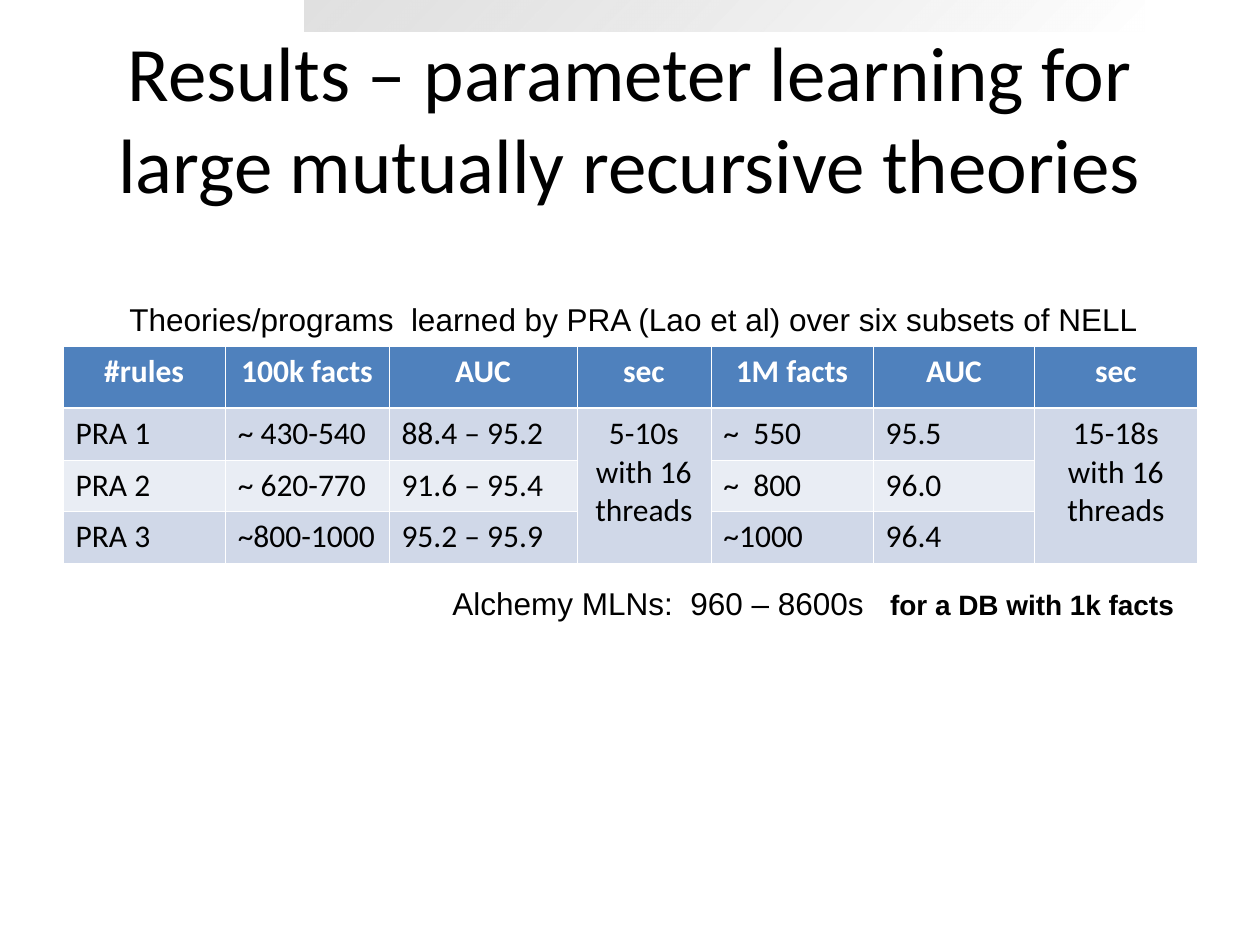
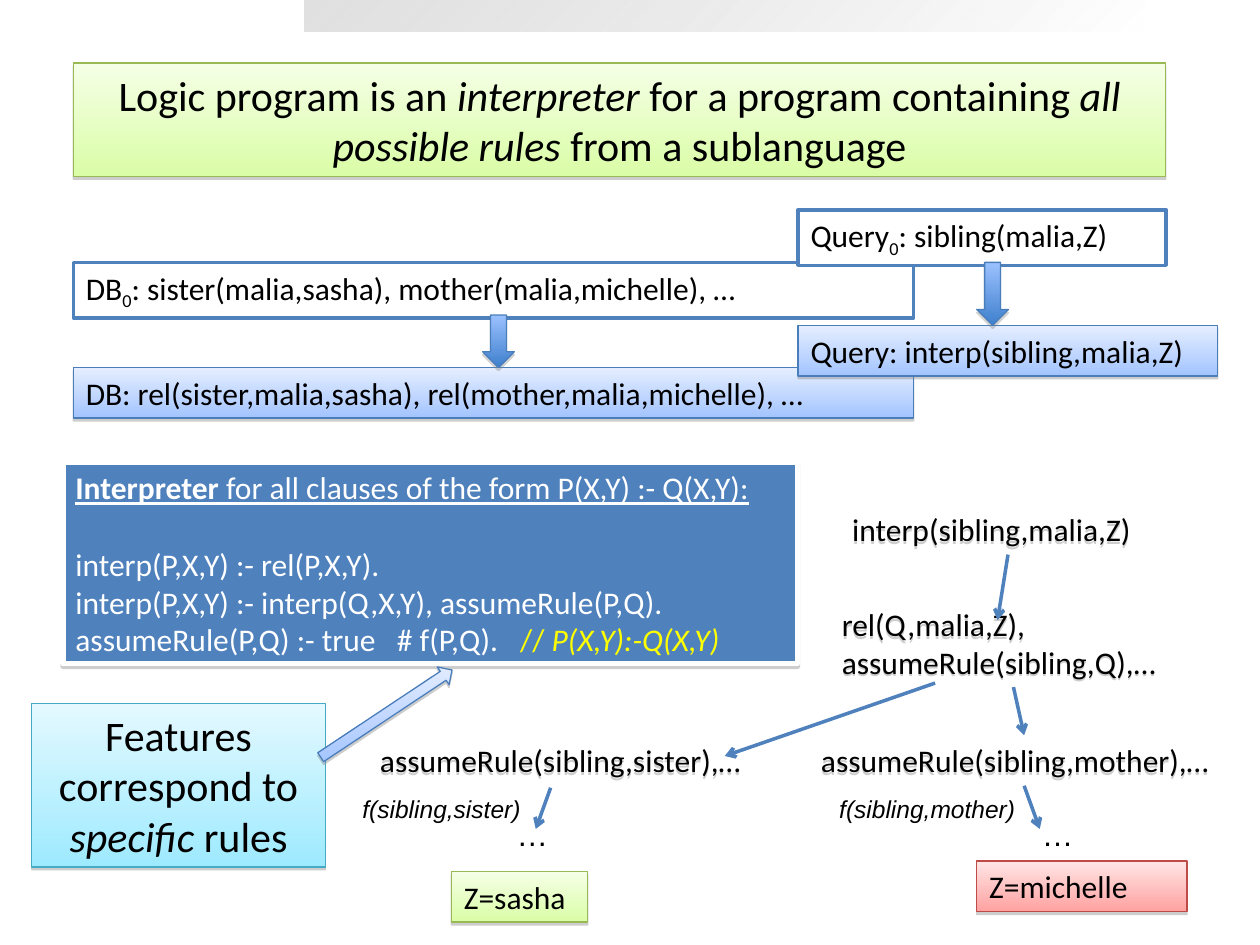
"""Build two slides: parameter learning results and a logic program interpreter."""
from dataclasses import dataclass

from lxml.etree import SubElement
from pptx import Presentation
from pptx.dml.color import RGBColor as Rgb
from pptx.enum.shapes import MSO_CONNECTOR as Connector, MSO_SHAPE as Shape
from pptx.enum.text import MSO_ANCHOR as Anchor, PP_ALIGN as Align
from pptx.oxml.ns import qn
from pptx.util import Cm, Pt


@dataclass(frozen=True)
class Look:
    fills: tuple = ()
    edge: str = ""
    width: float = 0.75
    shadow: tuple = ()
    angle: int = 90


@dataclass(frozen=True)
class Theme:
    body: str = "Calibri"
    plain: str = "Arial"
    title_size: int = 44
    lead_size: int = 24
    text_size: int = 18
    aside_size: int = 16
    note_size: int = 14
    black: str = "000000"
    white: str = "FFFFFF"
    yellow: str = "FFFF00"
    blue: str = "4F81BD"
    stripes: tuple = ("E9EDF4", "D0D8E8")
    soft: tuple = (38, 1.6)
    deep: tuple = (35, 1.8)


theme = Theme()
band = Look(("FFFFFF", "C0C0C0"), angle=225)
green = Look(("F5FFE6", "DAFDA7"), "98B954", shadow=theme.soft)
sky = Look(("E5EEFF", "A3C4FF"), "4A7EBB", shadow=theme.soft)
slanted = Look(sky.fills, sky.edge, shadow=theme.soft, angle=124)
strong = Look(("9BC1FF", "3F80CD"), "4A7EBB", shadow=theme.deep)
aqua = Look(("E4F9FF", "9EEAFF"), "46AAC5", shadow=theme.soft)
red = Look(("FFE5E5", "FFA2A1"), "BE4B48", shadow=theme.soft)
solid = Look((theme.blue,), theme.white, 3, theme.soft)
outline = Look((theme.white,), theme.blue, 2)
bare = Look()
shaded = Look(shadow=theme.soft)
italic = {"italic": True}
subscript = {"baseline": "-25000"}


def dress(shape, look):
    if len(look.fills) == 2:
        shape.fill.gradient()
        shape.fill.gradient_angle = 360 - look.angle
        for stop, color in zip(shape.fill.gradient_stops, look.fills):
            stop.color.rgb = Rgb.from_string(color)
    elif look.fills:
        shape.fill.solid()
        shape.fill.fore_color.rgb = Rgb.from_string(look.fills[0])
    if look.edge:
        shape.line.color.rgb = Rgb.from_string(look.edge)
        shape.line.width = Pt(look.width)
    else:
        shape.line.fill.background()
    shape.shadow.inherit = False
    if look.shadow:
        alpha, distance = look.shadow
        effects = shape.element.spPr.find(qn("a:effectLst"))
        outer = SubElement(effects, qn("a:outerShdw"), blurRad="0", dist=str(Pt(distance)),
                           dir="5400000", rotWithShape="0")
        tint = SubElement(outer, qn("a:srgbClr"), val="808080")
        SubElement(tint, qn("a:alpha"), val=str(alpha * 1000))


def write(frame, lines, size=theme.text_size, font=theme.body, align=Align.LEFT,
          color=theme.black, bold=False, wrap=True):
    frame.word_wrap = wrap
    for number, line in enumerate(lines):
        para = frame.add_paragraph() if number else frame.paragraphs[0]
        para.alignment = align
        para.font.name = font
        para.font.size = Pt(size)
        para.font.bold = bold
        para.font.color.rgb = Rgb.from_string(color)
        for text, marks in line:
            span = para.add_run()
            span.text = text
            for mark, value in marks.items():
                if mark == "baseline":
                    span.font._element.set(mark, value)
                elif mark == "color":
                    span.font.color.rgb = Rgb.from_string(value)
                else:
                    setattr(span.font, mark, value)


deck = Presentation()
deck.slide_width, deck.slide_height = Cm(25.4), Cm(19.05)
pages = [deck.slides.add_slide(deck.slide_layouts[6]) for _ in range(2)]
for page in pages:
    strip = page.shapes.add_shape(Shape.RECTANGLE, Cm(6.14), 0, Cm(16.94), Cm(0.64))
    dress(strip, band)
    for tint, alpha in zip(strip.element.spPr.iter(qn("a:srgbClr")), ("68000", "48000")):
        SubElement(tint, qn("a:alpha"), val=alpha)
results, logic = pages

title = results.shapes.add_textbox(Cm(1.27), Cm(0.76), Cm(22.86), Cm(3.18))
title.text_frame.vertical_anchor = Anchor.MIDDLE
write(title.text_frame,
      [[("Results – parameter learning for large mutually recursive theories", {})]],
      theme.title_size, align=Align.CENTER)

rows = [
    ["#rules", "100k facts", "AUC", "sec", "1M facts", "AUC", "sec"],
    ["PRA 1", "~ 430-540", "88.4 – 95.2", "5-10s with 16 threads", "~  550", "95.5",
     "15-18s with 16 threads"],
    ["PRA 2", "~ 620-770", "91.6 – 95.4", "", "~  800", "96.0", ""],
    ["PRA 3", "~800-1000", "95.2 – 95.9", "", "~1000", "96.4", ""],
]
widths = [3.27, 3.3, 3.79, 2.7, 3.27, 3.26, 3.27]
heights = [1.25, 1.04, 1.04, 1.04]
seconds_columns = (3, 6)
table = results.shapes.add_table(len(rows), len(widths), Cm(1.27), Cm(6.98),
                                 Cm(sum(widths)), Cm(sum(heights))).table
for column, width in zip(table.columns, widths):
    column.width = Cm(width)
for row, height in zip(table.rows, heights):
    row.height = Cm(height)
for column in seconds_columns:
    table.cell(1, column).merge(table.cell(3, column))
for r, values in enumerate(rows):
    for c, value in enumerate(values):
        cell = table.cell(r, c)
        header = r == 0
        rules = {"lnL": 0.45, "lnR": 0.45, "lnT": 1.47 if r == 1 else 0.45,
                 "lnB": 1.47 if header else 0.45}
        for side, width in rules.items():
            edge = SubElement(cell._tc.get_or_add_tcPr(), qn(f"a:{side}"), w=str(Pt(width)))
            SubElement(SubElement(edge, qn("a:solidFill")), qn("a:srgbClr"), val=theme.white)
        cell.fill.solid()
        cell.fill.fore_color.rgb = Rgb.from_string(theme.blue if header else theme.stripes[r % 2])
        if value:
            centred = header or c in seconds_columns
            write(cell.text_frame, [[(value, {})]], bold=header,
                  align=Align.CENTER if centred else Align.LEFT,
                  color=theme.white if header else theme.black)

captions = [
    ((2.31, 5.92, 20.88, 1.02),
     [("Theories/programs  learned by PRA (Lao et al) over six subsets of NELL", {})]),
    ((8.86, 11.64, 15.06, 1.02),
     [("Alchemy MLNs:  960 – 8600s   ", {}),
      ("for a DB with 1k facts", {"bold": True, "size": Pt(theme.aside_size)})]),
]
for spot, line in captions:
    box = results.shapes.add_textbox(*map(Cm, spot))
    write(box.text_frame, [line], font=theme.plain, align=Align.RIGHT, wrap=False)

centred_lead = {"size": theme.lead_size, "align": Align.CENTER}
panels = [
    ((1.48, 1.27, 22.02, 2.29), green,
     [[("Logic program is an ", {}), ("interpreter", italic),
       (" for a program containing ", {}), ("all possible rules ", italic),
       ("from a sublanguage", {})]], centred_lead),
    ((1.27, 9.32, 14.81, 4.06), solid,
     [[("Interpreter", {"bold": True, "underline": True}),
       (" for all clauses of the form P(X,Y) :- Q(X,Y):", {"underline": True})],
      [("interp(P,X,Y) :- rel(P,X,Y).", {})],
      [("interp(P,X,Y) :- interp(Q,X,Y), assumeRule(P,Q).", {})],
      [("assumeRule(P,Q) :- true   # f(P,Q).   ", {}), ("// ", {"color": theme.yellow}),
       ("P(X,Y):-Q(X,Y)", {"color": theme.yellow, "italic": True})]],
     {"color": theme.white}),
    ((1.48, 5.29, 16.94, 1.12), outline,
     [[("DB", {}), ("0", subscript),
       (": sister(malia,sasha), mother(malia,michelle), …", {})]], {}),
    ((1.48, 7.41, 16.94, 1.02), sky,
     [[("DB: rel(sister,malia,sasha), rel(mother,malia,michelle), …", {})]], {}),
    ((16.09, 4.23, 7.42, 1.12), outline,
     [[("Query", {}), ("0", subscript), (": sibling(malia,Z)", {})]], {}),
    ((16.09, 6.56, 8.46, 1.02), sky, [[("Query: interp(sibling,malia,Z)", {})]], {}),
    ((0.64, 14.18, 5.92, 3.3), aqua,
     [[("Features correspond to ", {}), ("specific ", italic), ("rules", {})]], centred_lead),
    ((9.1, 17.57, 2.75, 1.02), green, [[("Z=sasha", {})]], {}),
    ((19.69, 17.36, 4.24, 1.02), red, [[("Z=michelle", {})]], {}),
]
for spot, look, lines, style in panels:
    panel = logic.shapes.add_shape(Shape.RECTANGLE, *map(Cm, spot))
    dress(panel, look)
    panel.text_frame.vertical_anchor = Anchor.TOP
    write(panel.text_frame, lines, **style)
    if look is solid:
        panel.text_frame.paragraphs[1].space_before = Pt(22)

block_arrows = [
    (Shape.DOWN_ARROW, (9.73, 6.35, 0.64, 1.06), strong, 0),
    (Shape.DOWN_ARROW, (19.69, 5.29, 0.64, 1.27), strong, 0),
    (Shape.RIGHT_ARROW, (6.2, 14.17, 3.18, 0.43), slanted, 326.4),
]
for kind, spot, look, turn in block_arrows:
    arrow = logic.shapes.add_shape(kind, *map(Cm, spot))
    arrow.rotation = turn
    dress(arrow, look)

goals = {
    "query": ((16.93, 10.16, 6.78, 1.02), "interp(sibling,malia,Z)"),
    "rule": ((16.72, 12.07, 7.42, 1.78), "rel(Q,malia,Z), assumeRule(sibling,Q),…"),
    "mother": ((16.3, 14.82, 8.69, 1.02), "assumeRule(sibling,mother),…"),
    "sister": ((7.41, 14.82, 7.83, 1.02), "assumeRule(sibling,sister),…"),
}
goal_boxes = {}
for name, (spot, text) in goals.items():
    goal_boxes[name] = logic.shapes.add_textbox(*map(Cm, spot))
    dress(goal_boxes[name], shaded)
    write(goal_boxes[name].text_frame, [[(text, {})]])

steps = [
    ((20.32, 11.18), (20.11, 12.5), "query", None),
    ((18.85, 13.77), (14.61, 15.24), None, None),
    ((20.43, 13.85), (20.65, 14.82), "rule", "mother"),
    ((11.1, 15.88), (10.8, 16.71), None, None),
    ((20.65, 15.84), (20.96, 16.71), "mother", None),
]
for start, finish, source, target in steps:
    step = logic.shapes.add_connector(Connector.STRAIGHT, *map(Cm, start + finish))
    if source:
        step.begin_connect(goal_boxes[source], 2)
    if target:
        step.end_connect(goal_boxes[target], 0)
    step.line.color.rgb = Rgb.from_string(theme.blue)
    step.line.width = Pt(2)
    SubElement(step.element.spPr.find(qn("a:ln")), qn("a:tailEnd"), type="arrow")
    SubElement(step.element.spPr, qn("a:effectLst"))

notes = [
    ((6.95, 15.88, 3.8, 0.86), "f(sibling,sister)", theme.note_size, italic),
    ((16.6, 15.88, 4.12, 0.86), "f(sibling,mother)", theme.note_size, italic),
    ((10.16, 16.31, 1.14, 1.02), "…", theme.text_size, {}),
    ((20.75, 16.31, 1.14, 1.02), "…", theme.text_size, {}),
]
for spot, text, size, marks in notes:
    note = logic.shapes.add_textbox(*map(Cm, spot))
    dress(note, bare)
    write(note.text_frame, [[(text, marks)]], size, theme.plain, Align.RIGHT, wrap=False)

deck.save("out.pptx")
